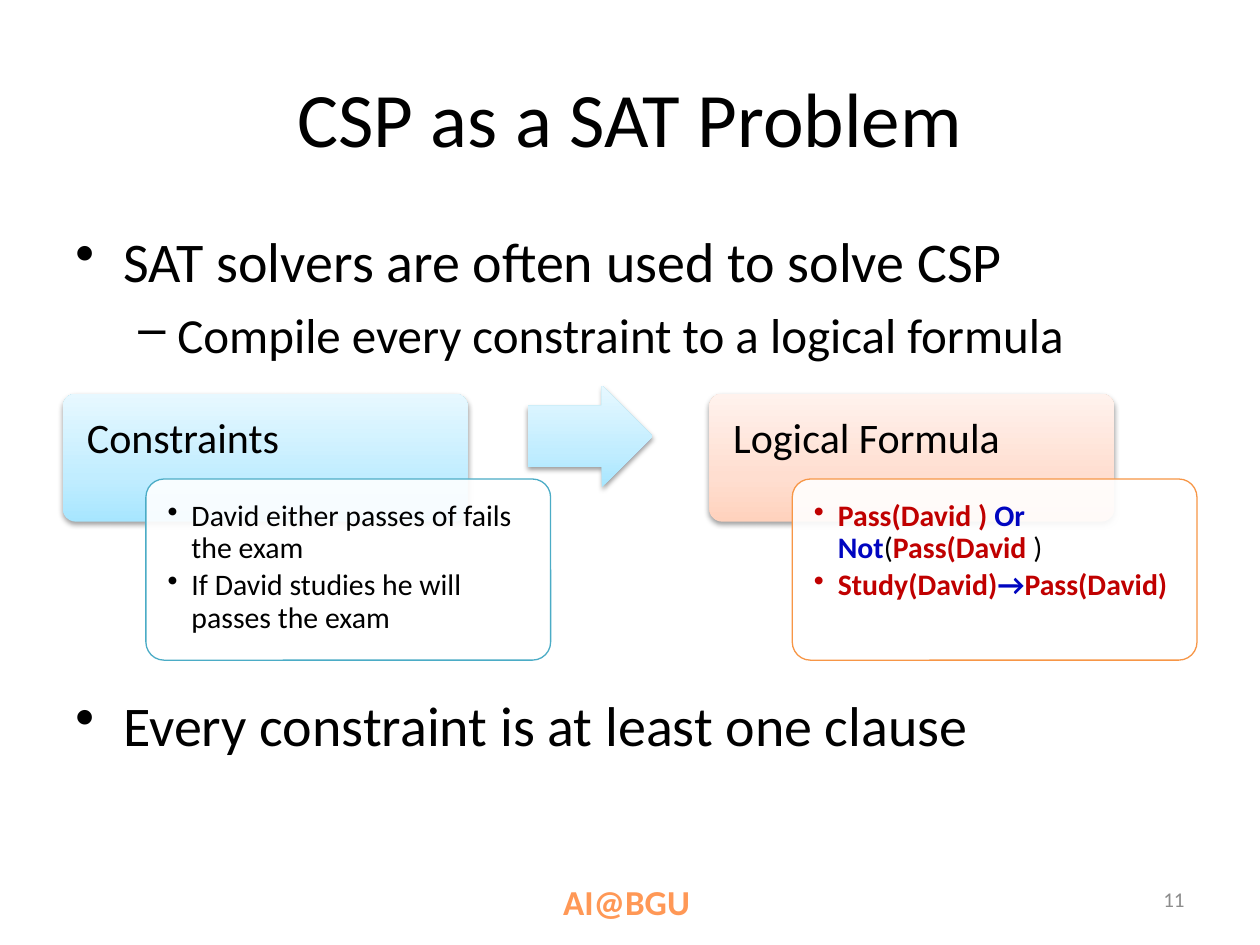
from copy import deepcopy
from dataclasses import dataclass

from lxml import etree
from pptx import Presentation, util as u
from pptx.dml.color import RGBColor
from pptx.enum import shapes, text
from pptx.oxml.ns import qn

FONT = "Calibri"
COLUMNS, ROWS = 100, 75
CELL = u.Inches(0.1)
COLORS = {
    "text": "000000", "number": "8C8C8C", "footer": "FF9856", "white": "FFFFFF",
    "predicate": "C00000", "operator": "0005C0",
    "blue line": "4BACC6", "orange line": "F79646",
}
GRADIENTS = {
    "blue": ("A7E6FF", "C1EDFF", "E7F8FF"),
    "orange": ("FFD2BD", "FFDED0", "FFF2ED"),
}
STOPS = (0, 0.35, 1)


@dataclass
class Box:
    """A rectangle in grid columns and rows."""
    x: float
    y: float
    w: float
    h: float

    def within(self, x, y, w, h):
        """The box at the given shares of this one."""
        return Box(self.x + x * self.w, self.y + y * self.h, w * self.w, h * self.h)

    def emu(self):
        return [round(side * CELL) for side in (self.x, self.y, self.w, self.h)]


def rgb(name):
    return RGBColor.from_string(COLORS[name])


def add_xml(parent, tag, **attributes):
    return etree.SubElement(parent, qn(tag), {k: str(v) for k, v in attributes.items()})


def set_bullet(paragraph, mark, left, hanging):
    properties = paragraph._p.get_or_add_pPr()
    properties.set("marL", str(u.Inches(left)))
    properties.set("indent", str(-u.Inches(hanging)))
    add_xml(properties, "a:buChar", char=mark)


def write(paragraph, runs, size, **layout):
    """Fill a paragraph with (wording, colour, bold) runs."""
    for name, value in layout.items():
        setattr(paragraph, name, value)
    for wording, color, bold in runs:
        run = paragraph.add_run()
        run.text = wording
        run.font.color.rgb = rgb(color)
        for name, value in {"name": FONT, "size": u.Pt(size), "bold": bold}.items():
            setattr(run.font, name, value)


def set_frame(shape, inset=None, anchor=text.MSO_ANCHOR.TOP):
    frame = shape.text_frame
    frame.word_wrap = True
    frame.vertical_anchor = anchor
    if inset is not None:
        for side in ("left", "top", "right", "bottom"):
            setattr(frame, f"margin_{side}", u.Inches(inset))
    return frame


def add_label(slide, box, runs, size, anchor=text.MSO_ANCHOR.TOP, **layout):
    frame = set_frame(slide.shapes.add_textbox(*box.emu()), anchor=anchor)
    write(frame.paragraphs[0], runs, size, **layout)


def add_outline(slide, box):
    bullets = (
        ("SAT solvers are often used to solve CSP", 32, "•", 0.38, 0.38, 0),
        ("Compile every constraint to a logical formula", 28, "–", 0.81, 0.31, 6),
        ("Every constraint is at least one clause", 32, "•", 0.38, 0.38, 187),
    )
    frame = set_frame(slide.shapes.add_textbox(*box.emu()))
    for index, (wording, size, mark, left, hanging, gap) in enumerate(bullets):
        paragraph = frame.add_paragraph() if index else frame.paragraphs[0]
        set_bullet(paragraph, mark, left, hanging)
        write(paragraph, [(wording, "text", False)], size, space_before=u.Pt(gap))


def add_raised(slide, kind, box, tone, adjustments):
    """A shape with an upward gradient and a soft shadow below it."""
    shape = slide.shapes.add_shape(kind, *box.emu())
    for index, value in enumerate(adjustments):
        shape.adjustments[index] = value
    shape.line.fill.background()
    shape.fill.gradient()
    shape.fill.gradient_angle = 90
    stop_list = shape._element.spPr.find(".//" + qn("a:gsLst"))
    stop_list.insert(1, deepcopy(stop_list[0]))
    for stop, position, color in zip(shape.fill.gradient_stops, STOPS, GRADIENTS[tone]):
        stop.position = position
        stop.color.rgb = RGBColor.from_string(color)
    shape.shadow.inherit = False
    effects = shape._element.spPr.find(qn("a:effectLst"))
    shadow = add_xml(effects, "a:outerShdw", blurRad=u.Pt(3.1), dist=u.Pt(1.6),
                     dir=5400000, rotWithShape=0)
    add_xml(add_xml(shadow, "a:srgbClr", val=COLORS["text"]), "a:alpha", val=38000)
    return shape


def add_panel(slide, box, tone, heading, details):
    """A coloured heading card with a detail card overlapping its lower right."""
    rounded = shapes.MSO_SHAPE.ROUNDED_RECTANGLE
    header = add_raised(slide, rounded, box.within(0, 0, 0.83, 0.48), tone, [0.1])
    write(set_frame(header, 0.16).paragraphs[0], [(heading, "text", False)], 24,
          alignment=text.PP_ALIGN.LEFT, line_spacing=0.9)

    card = slide.shapes.add_shape(rounded, *box.within(0.17, 0.32, 0.83, 0.68).emu())
    card.adjustments[0] = 0.1
    card.shadow.inherit = False
    card.fill.solid()
    card.fill.fore_color.rgb = rgb("white")
    add_xml(card._element.spPr.find(".//" + qn("a:srgbClr")), "a:alpha", val=90000)
    card.line.color.rgb = rgb(f"{tone} line")
    card.line.width = u.Pt(0.75)
    frame = set_frame(card, 0.13)
    for index, runs in enumerate(details):
        paragraph = frame.add_paragraph() if index else frame.paragraphs[0]
        set_bullet(paragraph, "•", 0.19, 0.19)
        write(paragraph, runs, 17, alignment=text.PP_ALIGN.LEFT,
              line_spacing=0.9, space_after=u.Pt(3))


def add_translation(slide, box):
    """Constraints on the left, an arrow, and their formulas on the right."""
    panel_width = 0.43
    constraints = [
        [("David either passes of fails the exam", "text", False)],
        [("If David studies he will passes the exam", "text", False)],
    ]
    formulas = [
        [("Pass(David ) ", "predicate", True), ("Or Not", "operator", True),
         ("(", "text", False), ("Pass(David", "predicate", True),
         (" )", "text", False)],
        [("Study(David)", "predicate", True), ("→", "operator", True),
         ("Pass(David)", "predicate", True)],
    ]
    add_panel(slide, box.within(0, 0.03, panel_width, 0.97), "blue",
              "Constraints", constraints)
    add_raised(slide, shapes.MSO_SHAPE.RIGHT_ARROW, box.within(0.41, 0, 0.11, 0.37),
               "blue", [0.6, 0.5])
    add_panel(slide, box.within(1 - panel_width, 0.03, panel_width, 0.97), "orange",
              "Logical Formula", formulas)


def add_footer(slide, box):
    add_label(slide, box.within(0.43, 0, 0.35, 1), [("AI@BGU", "footer", True)], 20)
    add_label(slide, box.within(0.74, 0, 0.26, 1), [("11", "number", False)], 12,
              anchor=text.MSO_ANCHOR.MIDDLE, alignment=text.PP_ALIGN.RIGHT)


def main():
    deck = Presentation()
    deck.slide_width, deck.slide_height = COLUMNS * CELL, ROWS * CELL
    slide = deck.slides.add_slide(deck.slide_layouts[6])
    add_footer(slide, Box(5, 69.4, 90, 4))
    add_label(slide, Box(5, 3, 90, 12.5), [("CSP as a SAT Problem", "text", False)], 44,
              anchor=text.MSO_ANCHOR.MIDDLE, alignment=text.PP_ALIGN.CENTER)
    add_outline(slide, Box(5, 17.5, 90, 49.5))
    add_translation(slide, Box(5, 30.6, 90, 21.8))
    deck.save("out.pptx")


if __name__ == "__main__":
    main()
